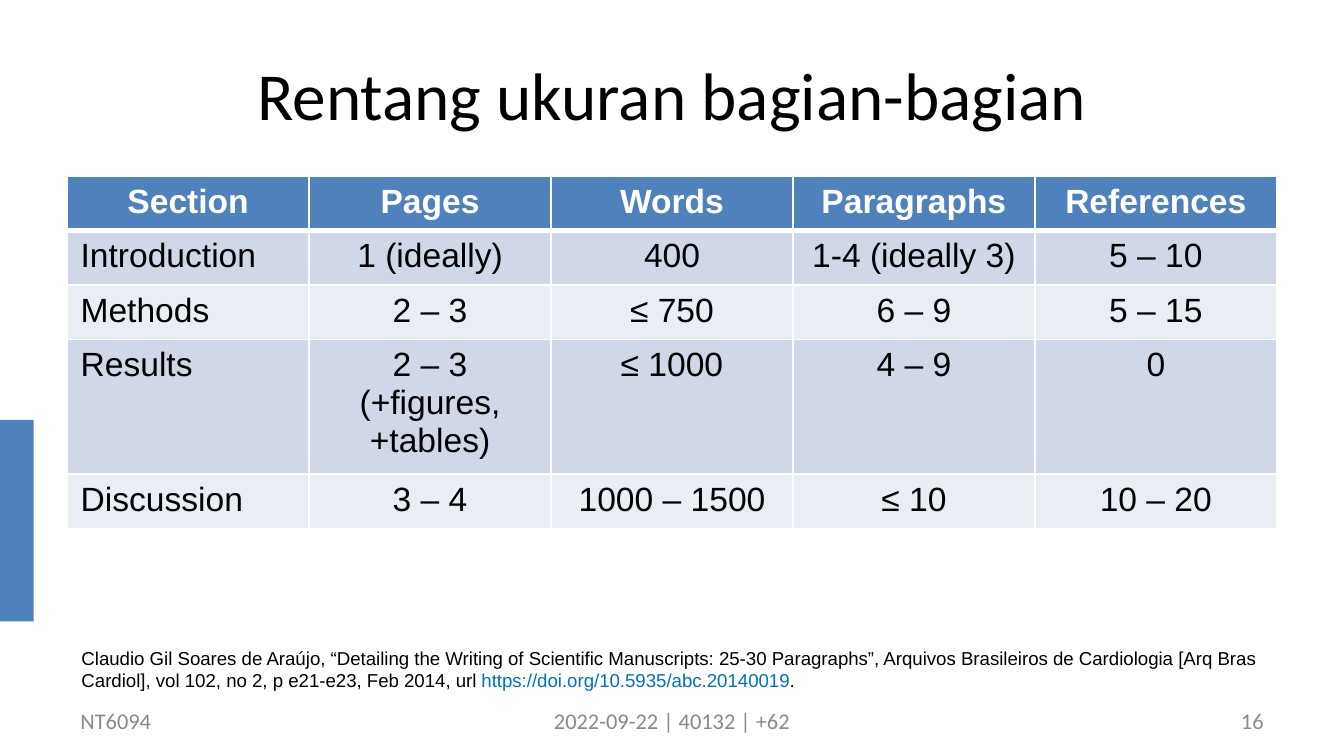
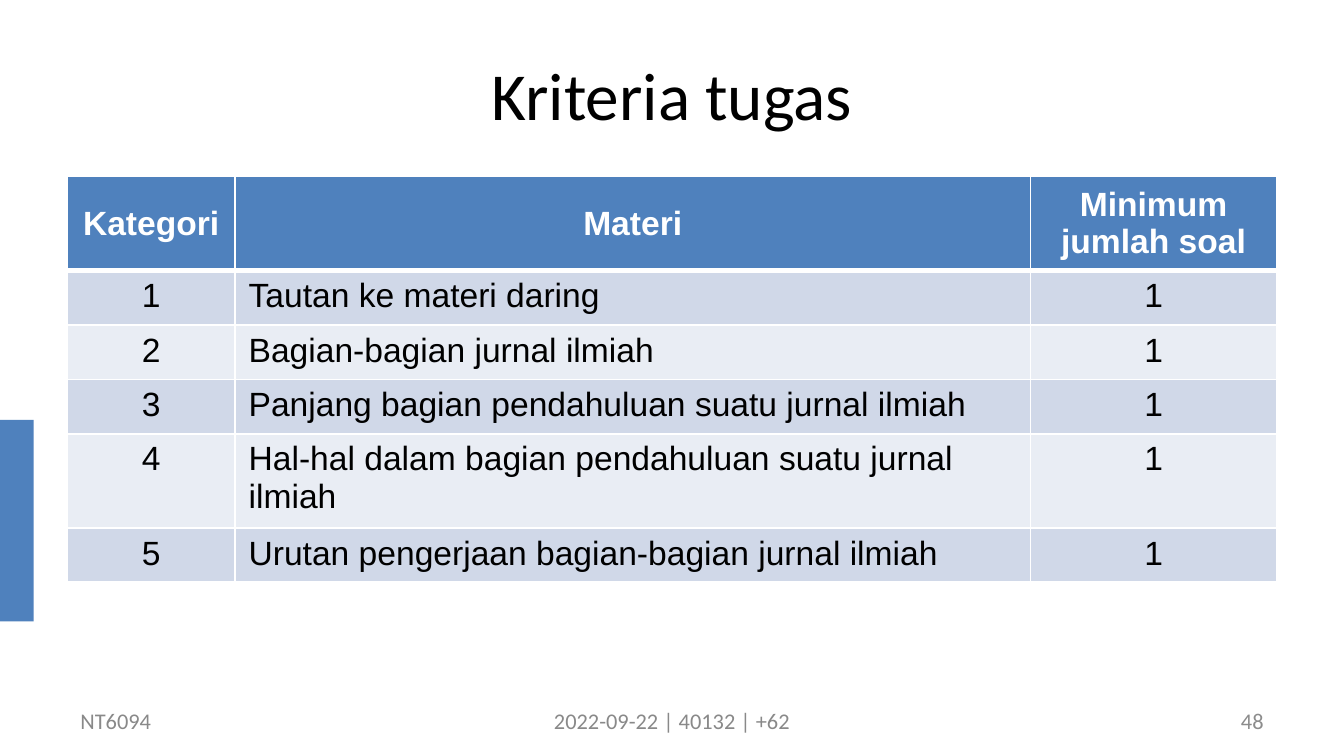
from lxml import etree
from pptx import Presentation
from pptx.dml.color import RGBColor
from pptx.enum.shapes import MSO_SHAPE
from pptx.enum.text import MSO_ANCHOR, PP_ALIGN
from pptx.oxml.ns import qn
from pptx.util import Inches, Pt

LEFT, CENTER, RIGHT = PP_ALIGN.LEFT, PP_ALIGN.CENTER, PP_ALIGN.RIGHT
TOP, MIDDLE = MSO_ANCHOR.TOP, MSO_ANCHOR.MIDDLE
RECTANGLE = MSO_SHAPE.RECTANGLE

# Slide grid: 120 columns by 75 rows
WIDTH, HEIGHT = Inches(10), Inches(5.625)
COLS, ROWS = 120, 75
MARGIN, CONTENT = 6, 108
TABLE_TOP, TABLE_ROW = 17.5, 5.4

BLUE, WHITE, BLACK = "4F81BD", "FFFFFF", "000000"
BANDS = ("D0D8E8", "E9EDF4")
GREY, PAGE_GREY, LINK = "898989", "8C8C8C", "0070C0"
HEAD_FONT, BODY_FONT = "Calibri", "Arial"

SECTIONS = [
    ["Section", "Pages", "Words", "Paragraphs", "References"],
    ["Introduction", "1 (ideally)", "400", "1-4 (ideally 3)", "5 – 10"],
    ["Methods", "2 – 3", "≤ 750", "6 – 9", "5 – 15"],
    ["Results", "2 – 3\n(+figures,\n+tables)", "≤ 1000", "4 – 9", "0"],
    ["Discussion", "3 – 4", "1000 – 1500", "≤ 10", "10 – 20"],
]
TOPICS = [
    "Tautan ke materi daring",
    "Bagian-bagian jurnal ilmiah",
    "Panjang bagian pendahuluan suatu jurnal ilmiah",
    "Hal-hal dalam bagian pendahuluan suatu jurnal ilmiah",
    "Urutan pengerjaan bagian-bagian jurnal ilmiah",
]
CRITERIA = [["Kategori", "Materi", "Minimum jumlah soal"]] + [
    [str(n), topic, "1"] for n, topic in enumerate(TOPICS, 1)
]
CITATION = [
    ("Claudio Gil Soares de Araújo, “Detailing the Writing of Scientific "
     "Manuscripts: 25-30 Paragraphs”, Arquivos Brasileiros de Cardiologia "
     "[Arq Bras Cardiol], vol 102, no 2, p e21-e23, Feb 2014, url ", BLACK),
    ("https://doi.org/10.5935/abc.20140019", LINK),
    (".", BLACK),
]


def rgb(color):
    return RGBColor.from_string(color)


def across(n):
    return round(WIDTH * n / COLS)


def down(n):
    return round(HEIGHT * n / ROWS)


def box(x, y, w, h):
    return across(x), down(y), across(w), down(h)


def style_run(r, font, size, color, bold=False):
    r.font.name, r.font.size, r.font.bold = font, Pt(size), bold
    r.font.color.rgb = rgb(color)


def add_text(s, area, pieces, font, size, align=LEFT, anchor=MIDDLE):
    """Add one paragraph made of (text, colour) pieces."""
    tf = s.shapes.add_textbox(*box(*area)).text_frame
    tf.word_wrap, tf.vertical_anchor = True, anchor
    p = tf.paragraphs[0]
    p.alignment = align
    for text, color in pieces:
        r = p.add_run()
        r.text = text
        style_run(r, font, size, color)


def set_borders(cell, bottom=1):
    """Draw white cell borders; lines come before the fill in tcPr."""
    tc_pr = cell._tc.get_or_add_tcPr()
    for i, (side, width) in enumerate(zip("LRTB", (1, 1, 1, bottom))):
        line = etree.Element(qn(f"a:ln{side}"), w=str(Pt(width)))
        fill = etree.SubElement(line, qn("a:solidFill"))
        etree.SubElement(fill, qn("a:srgbClr"), val=WHITE)
        tc_pr.insert(i, line)


def fill_cell(cell, text, header, band, align, anchor):
    cell.fill.solid()
    cell.fill.fore_color.rgb = rgb(BLUE if header else band)
    set_borders(cell, 3 if header else 1)
    cell.vertical_anchor = anchor
    cell.text_frame.text = text
    for p in cell.text_frame.paragraphs:
        p.alignment = align
        for r in p.runs:
            style_run(r, BODY_FONT, 18, WHITE if header else BLACK, header)


def add_grid(s, data, widths, left_col, header_anchor=TOP):
    """Add a banded table; body cells in left_col are left aligned."""
    area = box(MARGIN, TABLE_TOP, CONTENT, TABLE_ROW * len(data))
    table = s.shapes.add_table(len(data), len(widths), *area).table
    for col, width in zip(table.columns, widths):
        col.width = across(width)
    for i, values in enumerate(data):
        table.rows[i].height = down(TABLE_ROW)
        for j, text in enumerate(values):
            header = i == 0
            align = LEFT if j == left_col and not header else CENTER
            fill_cell(table.cell(i, j), text, header, BANDS[(i - 1) % 2],
                      align, header_anchor if header else TOP)


def add_page(prs, title, number):
    """Add a slide with the side band, title and footers."""
    s = prs.slides.add_slide(prs.slide_layouts[6])
    band = s.shapes.add_shape(RECTANGLE, *box(0, 41.67, 3, 20))
    band.shadow.inherit = False
    band.fill.solid()
    band.fill.fore_color.rgb = rgb(BLUE)
    band.line.fill.background()
    add_text(s, (MARGIN, 3, CONTENT, 12.5), [(title, BLACK)],
             HEAD_FONT, 36, CENTER)
    footers = [
        (MARGIN, 31, "NT6094", GREY, LEFT),
        (41, 38, "2022-09-22 | 40132 | +62", GREY, CENTER),
        (86, 28, str(number), PAGE_GREY, RIGHT),
    ]
    for x, w, text, color, align in footers:
        add_text(s, (x, 69.5, w, 4), [(text, color)], HEAD_FONT, 12, align)
    return s


def main():
    prs = Presentation()
    prs.slide_width, prs.slide_height = WIDTH, HEIGHT

    # Section lengths
    s = add_page(prs, "Rentang ukuran bagian-bagian", 16)
    add_grid(s, SECTIONS, [CONTENT / 5] * 5, left_col=0)
    add_text(s, (MARGIN + 0.1, 63.5, CONTENT, 5.8), CITATION,
             BODY_FONT, 10, anchor=TOP)

    # Assignment criteria
    s = add_page(prs, "Kriteria tugas", 48)
    add_grid(s, CRITERIA, [15, 71, 22], left_col=1, header_anchor=MIDDLE)

    prs.save("out.pptx")


if __name__ == "__main__":
    main()
